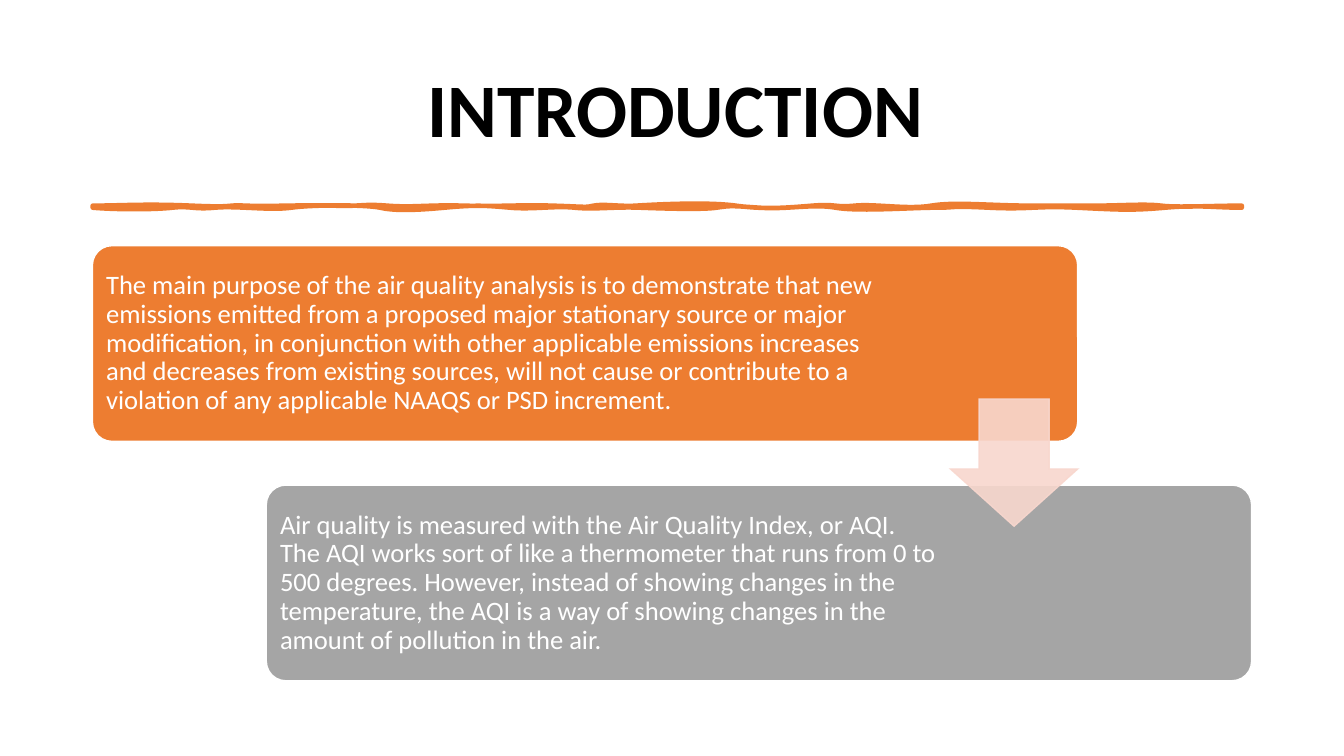
from dataclasses import dataclass

from lxml import etree
from pptx import Presentation
from pptx.dml.color import RGBColor
from pptx.enum.shapes import MSO_SHAPE
from pptx.enum.text import MSO_ANCHOR, PP_ALIGN
from pptx.oxml.ns import qn
from pptx.util import Inches, Pt

ROUNDED, DOWN_ARROW = MSO_SHAPE.ROUNDED_RECTANGLE, MSO_SHAPE.DOWN_ARROW
MIDDLE, LEFT = MSO_ANCHOR.MIDDLE, PP_ALIGN.LEFT

COLS, ROWS = 160, 90
CELLS_PER_INCH = 12
MARGIN, CONTENT_W = 11, 138
TITLE_INDENT = 38.9
CARD_W, CARD_H = 117.3, 23.3
CARD_TOP, CARD_STEP_Y = 29.25, 28.5
CARD_PAD = 0.68
ARROW_SIZE = 15.15


@dataclass(frozen=True)
class Theme:
    font: str = "Calibri"
    title_size: float = 54
    body_size: float = 19
    title: str = "000000"
    white: str = "FFFFFF"
    orange: str = "ED7D31"
    gray: str = "A5A5A5"
    pale: str = "F8D7CE"
    outline: float = 1
    rule: float = 3.25


# Brush stroke edges in inches: control 1 x, y, control 2 x, y, end x.
EDGE_TOP, EDGE_BOTTOM = 2.04, 2.06
STROKE_LEFT, STROKE_RIGHT = 0.92, 12.32
TOP_CURVES = [
    (1.19, 2.04, 1.44, 2.02, 1.90), (2.37, 2.06, 2.20, 2.03, 2.44),
    (2.67, 2.05, 3.03, 2.03, 3.31), (3.60, 2.05, 3.59, 2.02, 3.84),
    (4.10, 2.06, 4.23, 2.03, 4.60), (4.98, 2.05, 5.14, 2.03, 5.48),
    (5.81, 2.05, 5.81, 2.06, 5.89), (5.98, 2.02, 6.15, 2.05, 6.31),
    (6.47, 2.03, 7.01, 2.00, 7.30), (7.59, 2.08, 7.81, 2.06, 8.06),
    (8.31, 2.02, 8.27, 2.06, 8.48), (8.68, 2.02, 9.01, 2.08, 9.24),
    (9.47, 2.00, 9.82, 2.04, 10.23), (10.63, 2.04, 10.63, 2.04, 10.87),
    (11.12, 2.04, 11.36, 2.02, 11.52), (11.68, 2.06, 12.03, 2.04, STROKE_RIGHT),
]
BOTTOM_CURVES = [
    (12.05, 2.06, 11.89, 2.03, 11.56), (11.22, 2.09, 11.10, 2.08, 10.68),
    (10.27, 2.04, 10.23, 2.08, 9.81), (9.39, 2.04, 9.52, 2.06, 9.28),
    (9.04, 2.06, 8.51, 2.10, 8.29), (8.06, 2.02, 7.82, 2.08, 7.53),
    (7.24, 2.04, 7.25, 2.04, 7.11), (6.98, 2.08, 6.61, 2.07, 6.35),
    (6.09, 2.05, 5.90, 2.08, 5.70), (5.51, 2.04, 5.28, 2.08, 5.06),
    (4.83, 2.04, 4.73, 2.03, 4.41), (4.09, 2.09, 3.90, 2.09, 3.77),
    (3.63, 2.03, 3.10, 2.03, 2.89), (2.68, 2.09, 2.35, 2.04, 2.13),
    (1.92, 2.08, 1.89, 2.04, 1.71), (1.54, 2.08, 1.14, 2.08, STROKE_LEFT),
]

CARDS = [
    (MARGIN, "orange", 93.24,
     "The main purpose of the air quality analysis is\u00a0to demonstrate that new "
     "emissions emitted from a proposed major stationary source or major "
     "modification, in conjunction with other applicable emissions increases "
     "and decreases from existing sources, will not cause or contribute to a "
     "violation of any applicable NAAQS or PSD increment."),
    (MARGIN + CONTENT_W - CARD_W, "gray", 80.04,
     "Air quality is measured with the Air Quality Index, or AQI. "
     "The AQI works sort of like a thermometer that runs from 0 to "
     "500 degrees. However, instead of showing changes in the "
     "temperature, the AQI is a way of showing changes in the "
     "amount of pollution in the air."),
]


class SlideBuilder:
    def __init__(self, prs, theme):
        self.theme = theme
        self.cell_w, self.cell_h = prs.slide_width / COLS, prs.slide_height / ROWS
        self.s = prs.slides.add_slide(prs.slide_layouts[6])

    def emu(self, col, row):
        return round(col * self.cell_w), round(row * self.cell_h)

    def paint(self, sp, fill, line, width, join, opacity=100):
        sp.shadow.inherit = False
        sp.fill.solid()
        sp.fill.fore_color.rgb = RGBColor.from_string(fill)
        sp.line.color.rgb = RGBColor.from_string(line)
        sp.line.width = Pt(width)
        etree.SubElement(sp._element.spPr.find(qn("a:ln")), qn(join))
        if opacity < 100:
            for color in sp._element.spPr.iter(qn("a:srgbClr")):
                etree.SubElement(color, qn("a:alpha"), val=str(opacity * 1000))

    def shape(self, kind, col, row, w, h, adjustments, fill, line, opacity=100):
        sp = self.s.shapes.add_shape(kind, *self.emu(col, row), *self.emu(w, h))
        for i, value in enumerate(adjustments):
            sp.adjustments[i] = value
        self.paint(sp, fill, line, self.theme.outline, "a:miter", opacity)

    def text(self, text, col, row, w, h, size, color, bold=False, indent=0):
        tf = self.s.shapes.add_textbox(*self.emu(col, row), *self.emu(w, h)).text_frame
        tf.word_wrap = True
        tf.vertical_anchor = MIDDLE
        tf.margin_left = tf.margin_right = tf.margin_top = tf.margin_bottom = Inches(0.08)
        tf.text = text
        p = tf.paragraphs[0]
        p.alignment, p.line_spacing = LEFT, 0.9
        if indent:
            p._p.get_or_add_pPr().set("marL", str(round(indent * self.cell_w)))
        font = p.runs[0].font
        font.name, font.size, font.bold = self.theme.font, Pt(size), bold
        font.color.rgb = RGBColor.from_string(color)

    def brush_stroke(self, color, width):
        """Draw a closed band whose two long edges are chains of cubic curves."""
        top = [(curve[-1], EDGE_TOP) for curve in TOP_CURVES]
        bottom = [(curve[-1], EDGE_BOTTOM) for curve in BOTTOM_CURVES]
        knots = [(STROKE_LEFT, EDGE_TOP), *top, (STROKE_RIGHT, EDGE_BOTTOM), *bottom]
        points = [(Inches(x), Inches(y)) for x, y in knots]
        builder = self.s.shapes.build_freeform(*points[0])
        builder.add_line_segments(points[1:], close=True)
        sp = builder.convert_to_shape()
        segments = list(sp._element.iter(qn("a:lnTo")))
        for segment, curve in zip(segments, [*TOP_CURVES, None, *BOTTOM_CURVES]):
            if curve:
                segment.tag = qn("a:cubicBezTo")
                for i, (x, y) in enumerate((curve[:2], curve[2:4])):
                    control = etree.Element(qn("a:pt"), x=str(Inches(x) - sp.left),
                                            y=str(Inches(y) - sp.top))
                    segment.insert(i, control)
        self.paint(sp, color, color, width, "a:round")

    def card(self, col, row, fill, text_w, text):
        self.shape(ROUNDED, col, row, CARD_W, CARD_H, [0.1], fill, self.theme.white)
        self.text(text, col + CARD_PAD, row + CARD_PAD, text_w, CARD_H - 2 * CARD_PAD,
                  self.theme.body_size, self.theme.white)


def main():
    prs = Presentation()
    prs.slide_width = Inches(COLS / CELLS_PER_INCH)
    prs.slide_height = Inches(ROWS / CELLS_PER_INCH)
    theme = Theme()
    slide = SlideBuilder(prs, theme)

    slide.text("INTRODUCTION", MARGIN, 4.8, CONTENT_W, 17.4, theme.title_size,
               theme.title, bold=True, indent=TITLE_INDENT)
    slide.brush_stroke(theme.orange, theme.rule)
    for i, (col, fill, text_w, text) in enumerate(CARDS):
        slide.card(col, CARD_TOP + i * CARD_STEP_Y, getattr(theme, fill), text_w, text)
    slide.shape(DOWN_ARROW, MARGIN + CARD_W - ARROW_SIZE, 47.5, ARROW_SIZE, ARROW_SIZE,
                [0.55, 0.45], theme.pale, theme.pale, opacity=90)
    prs.save("out.pptx")


if __name__ == "__main__":
    main()
